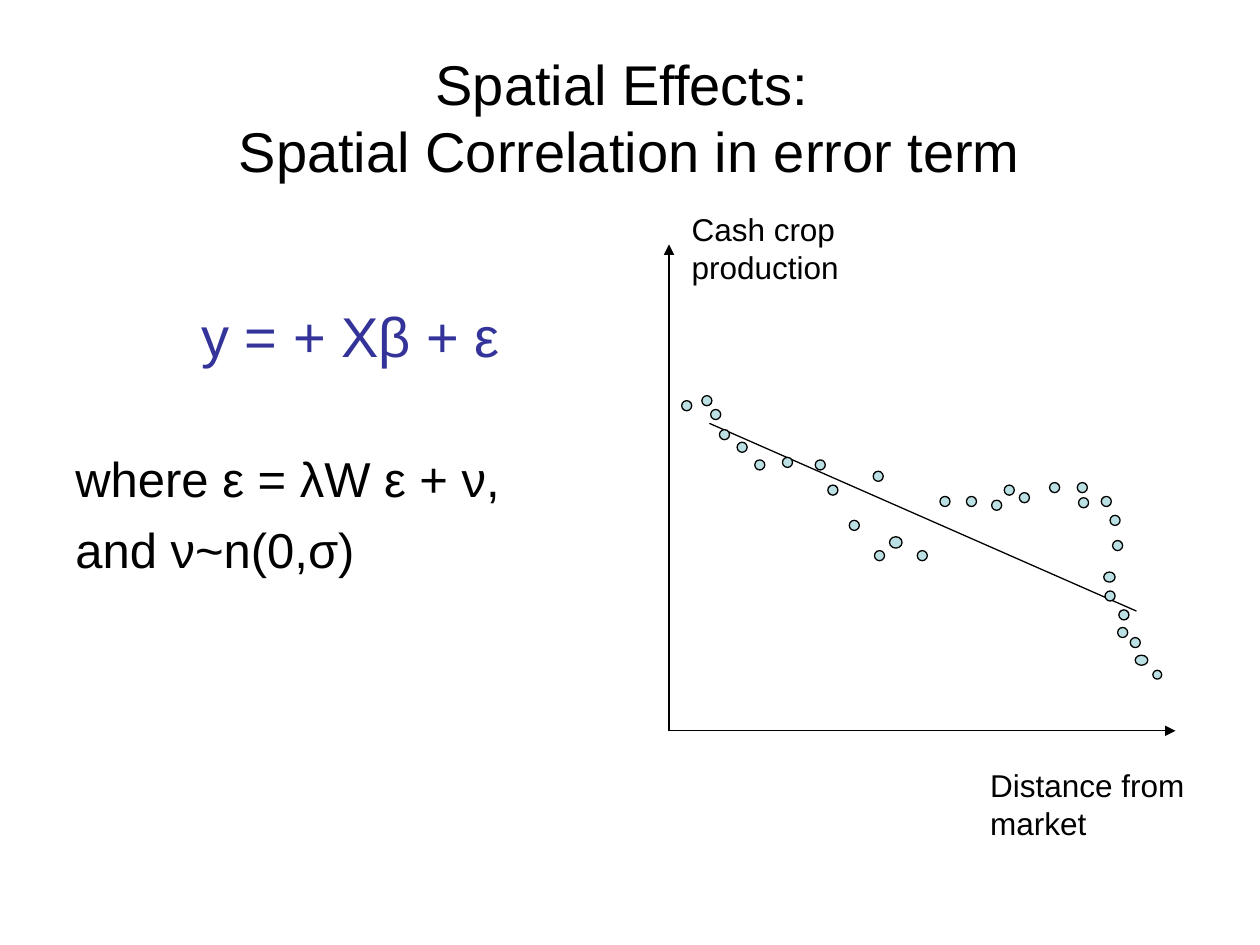
from pptx import Presentation, util as u
from pptx.dml.color import RGBColor
from pptx.enum import shapes, text
from pptx.oxml.ns import qn
from lxml import etree

CELL = 0.1  # the slide is a grid of 100 columns by 75 rows
BLACK, BLUE, AQUA = "000000", "333399", "BBE0E3"
DOT = 0.8
# Dot centres in cells right of and above the origin; width and height if not DOT
DOTS = [
    (1.4, 25.8), (3, 26.2), (3.7, 25.1), (4.4, 23.5), (5.8, 22.5), (7.2, 21.1),
    (9.4, 21.3), (12, 21.1), (13, 19.1), (14.7, 16.3), (16.6, 20.2), (16.7, 13.9),
    (18, 14.95, 1, 0.9), (20.1, 13.9), (21.9, 18.2), (24, 18.2), (26, 17.9),
    (27, 19.1), (28.2, 18.5), (30.6, 19.3), (32.8, 19.3), (32.9, 18.1),
    (34.7, 18.2), (35.4, 16.7), (35.6, 14.7), (34.95, 12.2, 0.9, 0.8), (35, 10.7),
    (36.1, 9.2), (36, 7.8), (37, 7), (37.5, 5.6, 1, 0.8), (38.75, 4.45, 0.7, 0.7),
]
TREND = (3.2, 24.4), (37.1, 9.5)


def cells(*values):
    return [u.Inches(v * CELL) for v in values]


def color(hex_string):
    return RGBColor.from_string(hex_string)


def place(sp, box):
    sp.left, sp.top, sp.width, sp.height = cells(*box)


def write(p, words, size, hex_string=BLACK, **formats):
    p.text = words
    p.font.name, p.font.size = "Arial", u.Pt(size)
    p.font.color.rgb = color(hex_string)
    for name, value in formats.items():
        setattr(p, name, value)


def add_text(s, box):
    tf = s.shapes.add_textbox(*cells(*box)).text_frame
    tf.word_wrap = True
    return tf


def add_line(s, start, end, arrow=False):
    sp = s.shapes.add_connector(shapes.MSO_CONNECTOR.STRAIGHT, *cells(*start, *end))
    sp.line.color.rgb, sp.line.width = color(BLACK), u.Pt(0.75)
    if arrow:
        etree.SubElement(sp.line._get_or_add_ln(), qn("a:tailEnd"), type="triangle")
    etree.SubElement(sp._element.spPr, qn("a:effectLst"))


def add_dot(s, x, y, w=DOT, h=DOT):
    box = cells(x - w / 2, y - h / 2, w, h)
    sp = s.shapes.add_shape(shapes.MSO_SHAPE.OVAL, *box)
    sp.shadow.inherit = False
    sp.fill.solid()
    sp.fill.fore_color.rgb = color(AQUA)
    sp.line.color.rgb, sp.line.width = color(BLACK), u.Pt(0.75)


def title(s, box):
    sp = s.shapes.title
    place(sp, box)
    tf = sp.text_frame
    tf.auto_size = text.MSO_AUTO_SIZE.NONE
    tf.vertical_anchor = text.MSO_ANCHOR.MIDDLE
    write(tf.paragraphs[0], "Spatial Effects: \vSpatial Correlation in error term", 32,
          alignment=text.PP_ALIGN.CENTER)


def model(s, box):
    tf = add_text(s, box)
    tf.margin_top = cells(6.4)[0]
    p = tf.paragraphs[0]
    p._p.get_or_add_pPr().set("marL", str(u.Inches(1)))  # equation indent
    write(p, "y = + Xβ + ε", 32, BLUE)
    for words, gap in (("where ε = λW ε + ν,", 46), ("and ν~n(0,σ)", 7)):
        write(tf.add_paragraph(), words, 28, space_before=u.Pt(gap))


def scatter(s, box):
    left, top, width, height = box
    base = top + height

    def at(x, y):
        return left + x, base - y

    # Axes and trend line
    add_line(s, at(0, 0), at(0, height), arrow=True)
    add_line(s, at(0, 0), at(width, 0), arrow=True)
    add_line(s, *(at(*point) for point in TREND))

    # Axis labels
    for words, x, y, w in (("Distance from market", 24.5, -2.3, 18.9),
                           ("Cash crop production", 0.8, 41.8, 16.5)):
        tf = add_text(s, (*at(x, y), w, 7))
        write(tf.paragraphs[0], words, 18)

    # Observations
    for x, y, *size in DOTS:
        add_dot(s, *at(x, y), *size)


def main():
    prs = Presentation()
    prs.slide_width, prs.slide_height = cells(100, 75)
    s = prs.slides.add_slide(prs.slide_layouts[5])
    title(s, (5, 3, 90, 12.5))
    model(s, (5, 17.5, 46.1, 49.5))
    scatter(s, (53.1, 19.4, 40.2, 38.6))
    prs.save("out.pptx")


if __name__ == "__main__":
    main()
